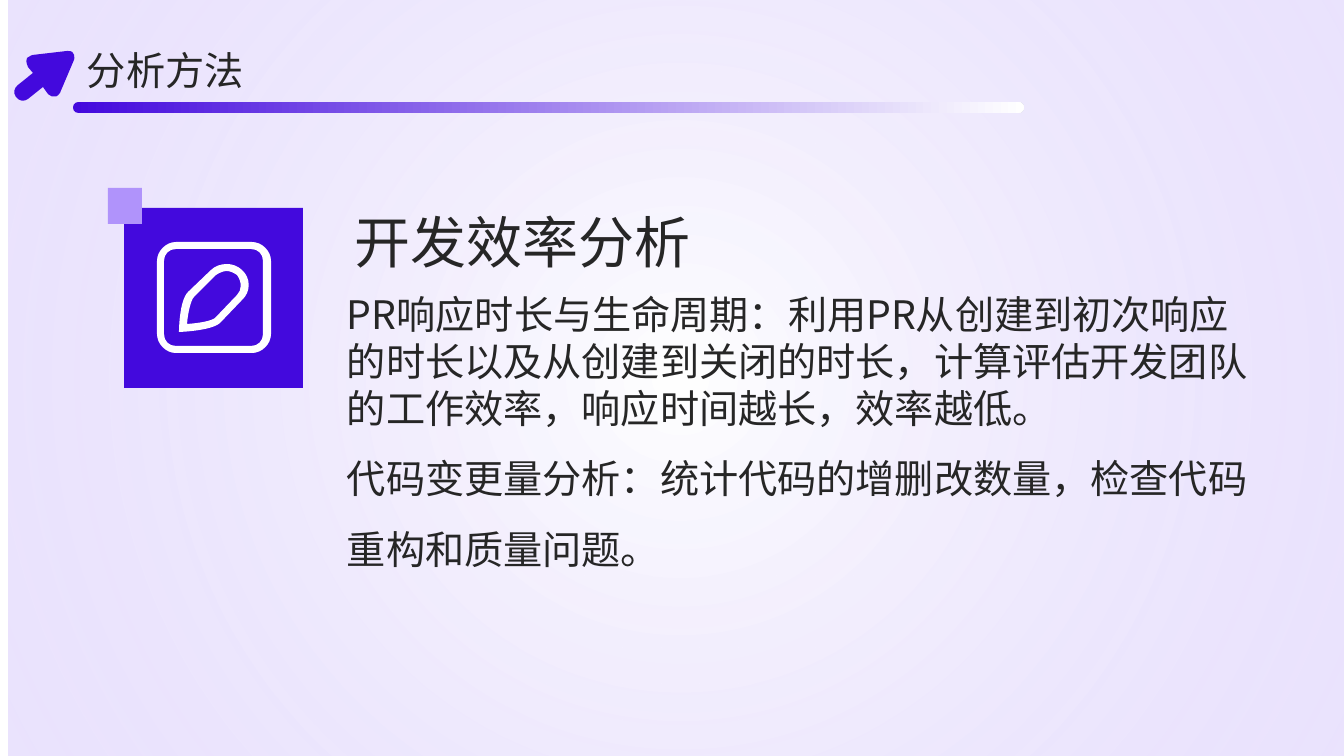
from dataclasses import dataclass

from lxml import etree
from pptx import Presentation
from pptx.dml.color import RGBColor
from pptx.enum.shapes import MSO_SHAPE
from pptx.enum.text import MSO_ANCHOR, MSO_AUTO_SIZE, PP_ALIGN
from pptx.oxml import parse_xml
from pptx.oxml.ns import nsdecls, qn
from pptx.util import Emu, Pt

RECT, ROUND_RECT = MSO_SHAPE.RECTANGLE, MSO_SHAPE.ROUNDED_RECTANGLE
TOP, MIDDLE, BOTTOM = MSO_ANCHOR.TOP, MSO_ANCHOR.MIDDLE, MSO_ANCHOR.BOTTOM
LEFT, NO_AUTOFIT = PP_ALIGN.LEFT, MSO_AUTO_SIZE.NONE

EMU_PER_PX = 12192000 / 1344
FONT = "Noto Sans CJK SC"
INK, VIOLET, LILAC, WHITE = "262626", "4309DD", "B093FB", "FFFFFF"
LEFT_TO_RIGHT = '<a:lin ang="0" scaled="0"/>'
FROM_CENTRE = ('<a:path path="circle"><a:fillToRect l="50000" t="50000" '
               'r="50000" b="50000"/></a:path>')

# A segment is (x, y) for a line or (x1, y1, x2, y2, x, y) for a curve.
Segment = tuple[int, ...]
Contour = list[Segment]


@dataclass
class Box:
    left: int
    top: int
    width: int
    height: int


@dataclass
class Line:
    text: str
    spacing: float


@dataclass
class TextBlock:
    box: Box
    lines: list[Line]
    size: int
    anchor: MSO_ANCHOR


def px(value: int) -> Emu:
    return Emu(round(value * EMU_PER_PX))


def rgb(color: str) -> RGBColor:
    return RGBColor.from_string(color)


def place(sp, box: Box) -> None:
    sp.left, sp.top = px(box.left), px(box.top)
    sp.width, sp.height = px(box.width), px(box.height)


def paint(sp, color: str) -> None:
    sp.shadow.inherit = False
    sp.fill.solid()
    sp.fill.fore_color.rgb = rgb(color)
    sp.line.fill.background()


def paint_gradient(sp, start: str, end: str, direction: str, end_alpha: int = 100) -> None:
    paint(sp, start)
    solid = sp.element.spPr.find(qn("a:solidFill"))
    gradient = parse_xml(
        f'<a:gradFill {nsdecls("a")} rotWithShape="1"><a:gsLst>'
        f'<a:gs pos="0"><a:srgbClr val="{start}"/></a:gs>'
        f'<a:gs pos="100000"><a:srgbClr val="{end}">'
        f'<a:alpha val="{end_alpha * 1000}"/></a:srgbClr></a:gs>'
        f'</a:gsLst>{direction}</a:gradFill>')
    solid.getparent().replace(solid, gradient)


def add_block(s, kind: MSO_SHAPE, box: Box):
    sp = s.shapes.add_shape(kind, 0, 0, 0, 0)
    place(sp, box)
    return sp


def write(sp, block: TextBlock) -> None:
    place(sp, block.box)
    tf = sp.text_frame
    tf.word_wrap, tf.auto_size = True, NO_AUTOFIT
    tf.vertical_anchor = block.anchor
    tf.margin_left = tf.margin_top = tf.margin_right = tf.margin_bottom = 0
    tf.text = "\n".join(line.text for line in block.lines)
    for p, line in zip(tf.paragraphs, block.lines):
        p.alignment, p.line_spacing = LEFT, line.spacing
        p.font.size, p.font.name = Pt(block.size), FONT
        p.font.color.rgb = rgb(INK)
        latin = p.font._element.find(qn("a:latin"))
        latin.addnext(etree.Element(qn("a:ea"), typeface=FONT))


def add_outline(s, contours: list[Contour], color: str) -> None:
    """Draw the contours as one shape, then bend the curved segments."""
    builder = None
    for contour in contours:
        start, *corners = [(px(x), px(y)) for *_, x, y in contour]
        if builder is None:
            builder = s.shapes.build_freeform(*start)
        else:
            builder.move_to(*start)
        builder.add_line_segments(corners, close=True)
    sp = builder.convert_to_shape()
    paint(sp, color)

    segments = [segment for contour in contours for segment in contour[1:]]
    for line_to, segment in zip(list(sp.element.iter(qn("a:lnTo"))), segments):
        if len(segment) == 6:
            line_to.tag = qn("a:cubicBezTo")
            controls = zip(segment[0:4:2], segment[1:4:2])
            for index, (x, y) in enumerate(controls):
                point = etree.Element(qn("a:pt"), x=str(px(x) - sp.left), y=str(px(y) - sp.top))
                line_to.insert(index, point)


def rounded_frame(l: int, t: int, r: int, b: int, radius: int) -> Contour:
    k = round(radius * 0.45)
    return [
        (l + radius, t), (r - radius, t), (r - k, t, r, t + k, r, t + radius),
        (r, b - radius), (r, b - k, r - k, b, r - radius, b),
        (l + radius, b), (l + k, b, l, b - k, l, b - radius),
        (l, t + radius), (l, t + k, l + k, t, l + radius, t),
    ]


ARROW: Contour = [
    (27, 58), (26, 60, 26, 62, 28, 67), (33, 73), (18, 85),
    (14, 88, 13, 93, 16, 97), (19, 101, 24, 102, 28, 99), (43, 87), (48, 94),
    (48, 94, 55, 101, 60, 93), (74, 60), (74, 60, 77, 50, 67, 51),
    (33, 55), (33, 55, 29, 56, 27, 58),
]
PEN_INSIDE: Contour = [
    (227, 271), (223, 271, 219, 273, 216, 275), (194, 297),
    (191, 300, 188, 312, 187, 324), (200, 323, 211, 321, 215, 318), (237, 295),
    (242, 290, 242, 282, 237, 275), (234, 273, 230, 271, 227, 271),
]
PEN_OUTSIDE: Contour = [
    (227, 264), (232, 264, 238, 266, 242, 270), (251, 278, 251, 292, 242, 300),
    (220, 323), (211, 331, 179, 332, 179, 332), (179, 332, 179, 301, 188, 292),
    (211, 270), (215, 266, 221, 264, 227, 264),
]
EDIT_ICON = [PEN_INSIDE, PEN_OUTSIDE,
             rounded_frame(164, 249, 263, 346, 12), rounded_frame(157, 242, 271, 353, 19)]

TITLE = TextBlock(Box(87, 42, 1176, 52), [Line("分析方法", 1.1)], 28, MIDDLE)
HEADING = TextBlock(Box(355, 235, 419, 40), [Line("开发效率分析", 1.5)], 40, BOTTOM)
BODY = TextBlock(Box(347, 290, 916, 350), [
    Line("PR响应时长与生命周期：利用PR从创建到初次响应的时长以及从创建到关闭的时长，"
         "计算评估开发团队的工作效率，响应时间越长，效率越低。", 1.0),
    Line("代码变更量分析：统计代码的增删改数量，检查代码重构和质量问题。", 1.5),
], 28, TOP)


def main() -> None:
    prs = Presentation()
    prs.slide_width, prs.slide_height = px(1344), px(756)
    s = prs.slides.add_slide(prs.slide_layouts[5])
    title = s.shapes.title

    # Backdrop, kept behind the title
    backdrop = add_block(s, RECT, Box(8, 0, 1344, 756))
    paint_gradient(backdrop, WHITE, "D7C9FD", FROM_CENTRE, end_alpha=50)
    title.element.addprevious(backdrop.element)

    # Icon tiles
    paint(add_block(s, RECT, Box(124, 208, 179, 180)), VIOLET)
    paint(add_block(s, RECT, Box(108, 188, 34, 36)), LILAC)

    # Text
    write(title, TITLE)
    for block in (BODY, HEADING):
        write(s.shapes.add_textbox(0, 0, 0, 0), block)

    # Title underline
    underline = add_block(s, ROUND_RECT, Box(73, 102, 951, 11))
    underline.adjustments[0] = 0.5
    paint_gradient(underline, VIOLET, WHITE, LEFT_TO_RIGHT)

    # Title arrow and edit icon
    add_outline(s, [ARROW], VIOLET)
    add_outline(s, EDIT_ICON, WHITE)

    prs.save("out.pptx")


if __name__ == "__main__":
    main()
